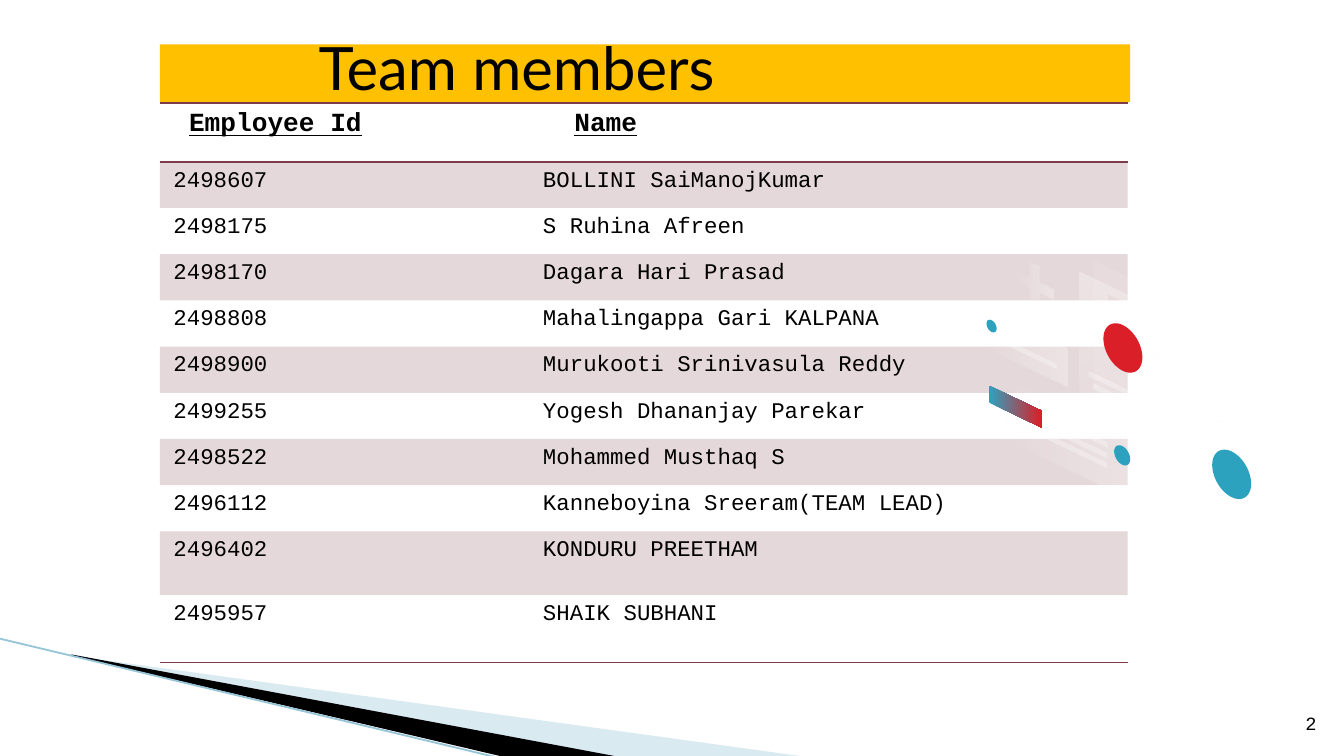
from math import cos, pi, sin

from lxml import etree
from pptx import Presentation
from pptx.dml.color import RGBColor
from pptx.enum.shapes import MSO_CONNECTOR, MSO_SHAPE
from pptx.enum.text import MSO_ANCHOR, PP_ALIGN
from pptx.oxml.ns import qn
from pptx.util import Pt

LINE = MSO_CONNECTOR.STRAIGHT
RECT = MSO_SHAPE.RECTANGLE
LEFT, CENTER = PP_ALIGN.LEFT, PP_ALIGN.CENTER
TOP, MIDDLE, BOTTOM = MSO_ANCHOR.TOP, MSO_ANCHOR.MIDDLE, MSO_ANCHOR.BOTTOM
MONO = "Courier New"
WINE, TEAL, RED, WHITE = "7D3C4A", "2DA2BF", "DA1F28", "FFFFFF"
PLAIN = "{2D5ABB26-0587-4C30-8999-92F81FD0307C}"
SLOPE = 0.48


def paint(fill, *codes, alphas=(100, 100), angle=0):
    """Fill with one colour, or with a gradient of two."""
    if len(codes) == 1:
        fill.solid()
        fill.fore_color.rgb = RGBColor.from_string(codes[0])
    else:
        fill.gradient()
        fill.gradient_angle = -angle % 360
        for stop, code in zip(fill.gradient_stops, codes):
            stop.color.rgb = RGBColor.from_string(code)
    for tag, alpha in zip(fill._xPr.iter(qn("a:srgbClr")), alphas):
        if alpha < 100:
            etree.SubElement(tag, qn("a:alpha"), val=str(alpha * 1000))


def write(frame, text, size=12, font=MONO, bold=False, under=False, align=LEFT):
    para = frame.paragraphs[0]
    para.alignment = align
    run = para.add_run()
    run.text = text
    run.font.size = Pt(size)
    run.font.name = font
    run.font.bold = bold
    run.font.underline = under
    paint(run.font.fill, "000000")


deck = Presentation()
deck.slide_width, deck.slide_height = Pt(720), Pt(405)
slide = deck.slides.add_slide(deck.slide_layouts[6])
shapes = slide.shapes

# Corner wedges and edge line
wedges = [
    ([(39.6, 351.4), (428.4, 405), (328.3, 405)], "A0CBDC", 40),
    ([(38.2, 350.6), (329, 405), (267.8, 405), (38.9, 351.4)], "000000", 100),
]
for points, code, alpha in wedges:
    pen = shapes.build_freeform(*[Pt(n) for n in points[0]])
    pen.add_line_segments([(Pt(x), Pt(y)) for x, y in points[1:]])
    wedge = pen.convert_to_shape()
    wedge.shadow.inherit = False
    paint(wedge.fill, code, alphas=[alpha])
    wedge.line.fill.background()
edge = shapes.add_connector(LINE, Pt(-0.7), Pt(342), Pt(267.1), Pt(406))
edge.line.width = Pt(0.95)
paint(edge.line.fill, "97C5D8")
etree.SubElement(edge._element.spPr, qn("a:effectLst"))

# Title band
band = shapes.add_shape(RECT, Pt(85.7), Pt(23.8), Pt(519.8), Pt(31))
band.shadow.inherit = False
paint(band.fill, "FFC000")
band.line.fill.background()

# Page number
page = shapes.add_textbox(Pt(684.7), Pt(373.7), Pt(35.3), Pt(27.4))

for box, anchor, inset in [(band, BOTTOM, 85), (page, MIDDLE, 0)]:
    frame = box.text_frame
    frame.word_wrap = True
    frame.vertical_anchor = anchor
    frame.margin_left = Pt(inset)
    frame.margin_right = frame.margin_top = frame.margin_bottom = 0
write(band.text_frame, "Team members", size=32, font="Lato")
write(page.text_frame, "2", size=10, align=CENTER)

# Team table
team = [
    ("Employee Id", "Name"),
    ("2498607", "BOLLINI SaiManojKumar"),
    ("2498175", "S Ruhina Afreen"),
    ("2498170", "Dagara Hari Prasad"),
    ("2498808", "Mahalingappa Gari KALPANA"),
    ("2498900", "Murukooti Srinivasula Reddy"),
    ("2499255", "Yogesh Dhananjay Parekar"),
    ("2498522", "Mohammed Musthaq S"),
    ("2496112", "Kanneboyina Sreeram(TEAM LEAD)"),
    ("2496402", "KONDURU PREETHAM"),
    ("2495957", "SHAIK SUBHANI"),
]
tall = [31.6] + [24.75] * 8 + [34.2, 36]
last = len(team) - 1
table = shapes.add_table(len(team), 2, Pt(85.7), Pt(55.1), Pt(518.4), Pt(sum(tall))).table
table.first_row = table.horz_banding = False
table._tbl.tblPr.find(qn("a:tableStyleId")).text = PLAIN
for col, wide in zip(table.columns, (198, 320.4)):
    col.width = Pt(wide)
for r, names in enumerate(team):
    table.rows[r].height = Pt(tall[r])
    for c, name in enumerate(names):
        cell = table.cell(r, c)
        cell.vertical_anchor = TOP
        head = r == 0
        cell.margin_left = Pt(7.2 + 8.4 * (c + 1) * head)
        write(cell.text_frame, name, size=14 if head else 12, bold=head, under=head)
        if r % 2:
            paint(cell.fill, WINE, alphas=[20])
        else:
            cell.fill.background()
        # Rules go before the fill, top one first
        sides = {0: ("a:lnB", "a:lnT"), last: ("a:lnB",)}.get(r, ())
        for side in sides:
            rule = etree.Element(qn(side), w=str(Pt(1)))
            solid = etree.SubElement(rule, qn("a:solidFill"))
            etree.SubElement(solid, qn("a:srgbClr"), val=WINE)
            cell._tc.tcPr.insert(0, rule)

# Unit outlines for the slanted artwork
turn = [2 * pi * n / 48 for n in range(48)]
bar = [(0, 0), (1, 0), (1, 1), (0, 1)]
hole = [(0.32, 0.06), (0.32, 0.1), (0.66, 0.1), (0.66, 0.06)]
disc = [(0.5 + cos(t) / 2, 0.5 - sin(t) / 2) for t in turn]
dome = [(0.5 + cos(t) / 2, 0.84 - 0.84 * sin(t)) for t in turn[:25]]
dome += [(0.09, 1), (0.91, 1)]
a, b = 0.38, 0.62
cross = [(a, 0), (b, 0), (b, a), (1, a), (1, b), (b, b),
         (b, 1), (a, 1), (a, b), (0, b), (0, a), (a, a)]
talk = [(0, 0), (1, 0), (1, 1), (0.9, 0.87), (0, 0.87)]

# Fills: colours, opacities, angle
faint = ([WHITE], [10], 0)
soft = ([WHITE], [30], 0)
glow = ([WHITE, WHITE], [40, 0], 110)
fade = ([WHITE, WHITE], [30, 0], 180)
sheet = ([WHITE, WHITE], [30, 0], 90)
teal = ([TEAL], [100], 0)
red = ([RED], [100], 0)
blend = ([TEAL, RED], [100, 100], 0)

# Parts: outlines, left, top, width, height, fill
parts = []
for dx, dy, look in [(0, 0, faint), (-10.1, 6.1, glow)]:
    parts += [([dome], 625.7 + dx, 153.4 + dy, 81.4, 48.6, look),
              ([disc], 643 + dx, 95.4 + dy, 46.8, 54, look)]
parts += [([bar], 524.9, 164.2, 46.8, 20.4, fade),
          ([disc], 528.5, 170.3, 5.4, 6.3, teal),
          ([bar], 536.4, 175, 15.1, 2.9, soft),
          ([bar], 536.4, 180.7, 30, 2.9, soft)]
for dx, dy, dot in [(58.3, 67.7, teal), (0, 0, red)]:
    parts += [([bar], 586.1 + dx, 139.7 + dy, 46.8, 84.2, faint),
              ([bar, hole], 578.2 + dx, 145.4 + dy, 46.8, 84.2, sheet),
              ([bar], 583.2 + dx, 198.7 + dy, 37.4, 2.9, soft),
              ([bar], 585.4 + dx, 205.2 + dy, 32.4, 2.9, soft),
              ([disc], 591.1 + dx, 169.2 + dy, 20.9, 24.5, dot)]
parts += [([talk], 537.8, 202.3, 74.9, 37.4, fade),
          ([bar], 529.9, 206.6, 28.1, 9, blend),
          ([bar], 576.7, 229, 16.6, 2.9, soft),
          ([bar], 561.6, 227.5, 31.7, 2.9, soft),
          ([bar], 555.1, 229.7, 38.2, 2.9, soft),
          ([disc], 596.9, 236.9, 8.6, 10, teal),
          ([cross], 543.6, 136.1, 20.9, 23, fade)]

# Slanted artwork
group = shapes.add_group_shape()
for rings, x, y, w, h, (codes, alphas, angle) in parts:
    paths = [[(Pt(x + u * w), Pt(y + v * h + SLOPE * u * w)) for u, v in ring]
             for ring in rings]
    pen = group.shapes.build_freeform(*paths[0][0])
    pen.add_line_segments(paths[0][1:])
    for path in paths[1:]:
        pen.move_to(*path[0])
        pen.add_line_segments(path[1:])
    part = pen.convert_to_shape()
    part.shadow.inherit = False
    paint(part.fill, *codes, alphas=alphas, angle=angle)
    part.line.fill.background()

deck.save("out.pptx")
